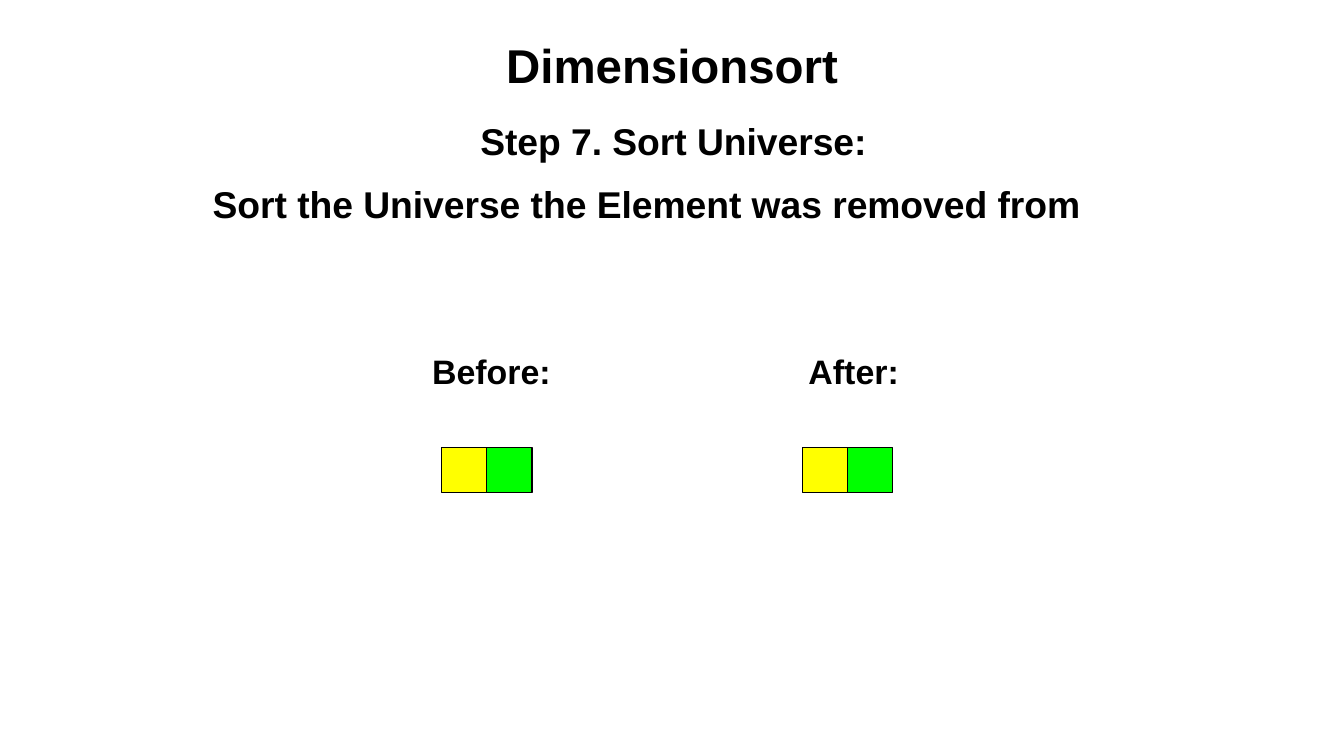
from pptx import Presentation
from pptx import util as u
from pptx.dml.color import RGBColor
from pptx.enum import shapes, text

BLACK = RGBColor(0x00, 0x00, 0x00)
YELLOW = RGBColor(0xFF, 0xFF, 0x00)
GREEN = RGBColor(0x00, 0xFF, 0x00)

SQUARE = 0.37
SQUARE_TOP = 3.67
MIDDLE = text.MSO_ANCHOR.MIDDLE
TOP = text.MSO_ANCHOR.TOP
CENTER = text.PP_ALIGN.CENTER
LEFT = text.PP_ALIGN.LEFT


class SortSlide:
    """Holds the text style and the current slide."""

    font_style = {"name": "Arial", "bold": True}

    def __init__(self, presentation):
        self.slide = presentation.slides.add_slide(presentation.slide_layouts[6])

    def label(self, words, box, size, anchor=MIDDLE, align=CENTER, inset=(0, 0)):
        shape = self.slide.shapes.add_textbox(*map(u.Inches, box))
        frame = shape.text_frame
        side, edge = map(u.Inches, inset)
        frame_format = {
            "word_wrap": True, "vertical_anchor": anchor,
            "margin_left": side, "margin_right": side,
            "margin_top": edge, "margin_bottom": edge,
        }
        for name, value in frame_format.items():
            setattr(frame, name, value)
        paragraph = frame.paragraphs[0]
        paragraph.alignment = align
        run = paragraph.add_run()
        run.text = words
        for name, value in {**self.font_style, "size": u.Pt(size)}.items():
            setattr(run.font, name, value)
        run.font.color.rgb = BLACK

    def square(self, left, top, color):
        shape = self.slide.shapes.add_shape(
            shapes.MSO_SHAPE.RECTANGLE, *map(u.Inches, (left, top, SQUARE, SQUARE)))
        shape.shadow.inherit = False
        shape.fill.solid()
        shape.fill.fore_color.rgb = color
        shape.line.color.rgb = BLACK
        shape.line.width = u.Pt(1)

    def universe(self, left, colors):
        for index, color in enumerate(colors):
            self.square(left + index * SQUARE, SQUARE_TOP, color)


def main():
    presentation = Presentation()
    presentation.slide_width = u.Inches(11.02)
    presentation.slide_height = u.Inches(6.2)
    slide = SortSlide(presentation)

    # Headings
    slide.label("Dimensionsort", (0.55, 0.01, 9.92, 1.04), 28)
    slide.label("Step 7. Sort Universe:", (3.84, 0.92, 5.96, 0.78), 22,
                anchor=TOP, align=LEFT, inset=(0.1, 0.05))
    slide.label("Sort the Universe the Element was removed from ",
                (0.72, 1.44, 9.25, 0.56), 22, anchor=TOP, inset=(0.1, 0.05))

    # The universe before and after sorting
    for words, label_left, universe_left in (("Before:", 3.07, 3.62),
                                             ("After:", 6.04, 6.58)):
        slide.label(words, (label_left, 2.67, 1.92, 0.75), 20)
        slide.universe(universe_left, (YELLOW, GREEN))

    presentation.save("out.pptx")


if __name__ == "__main__":
    main()
